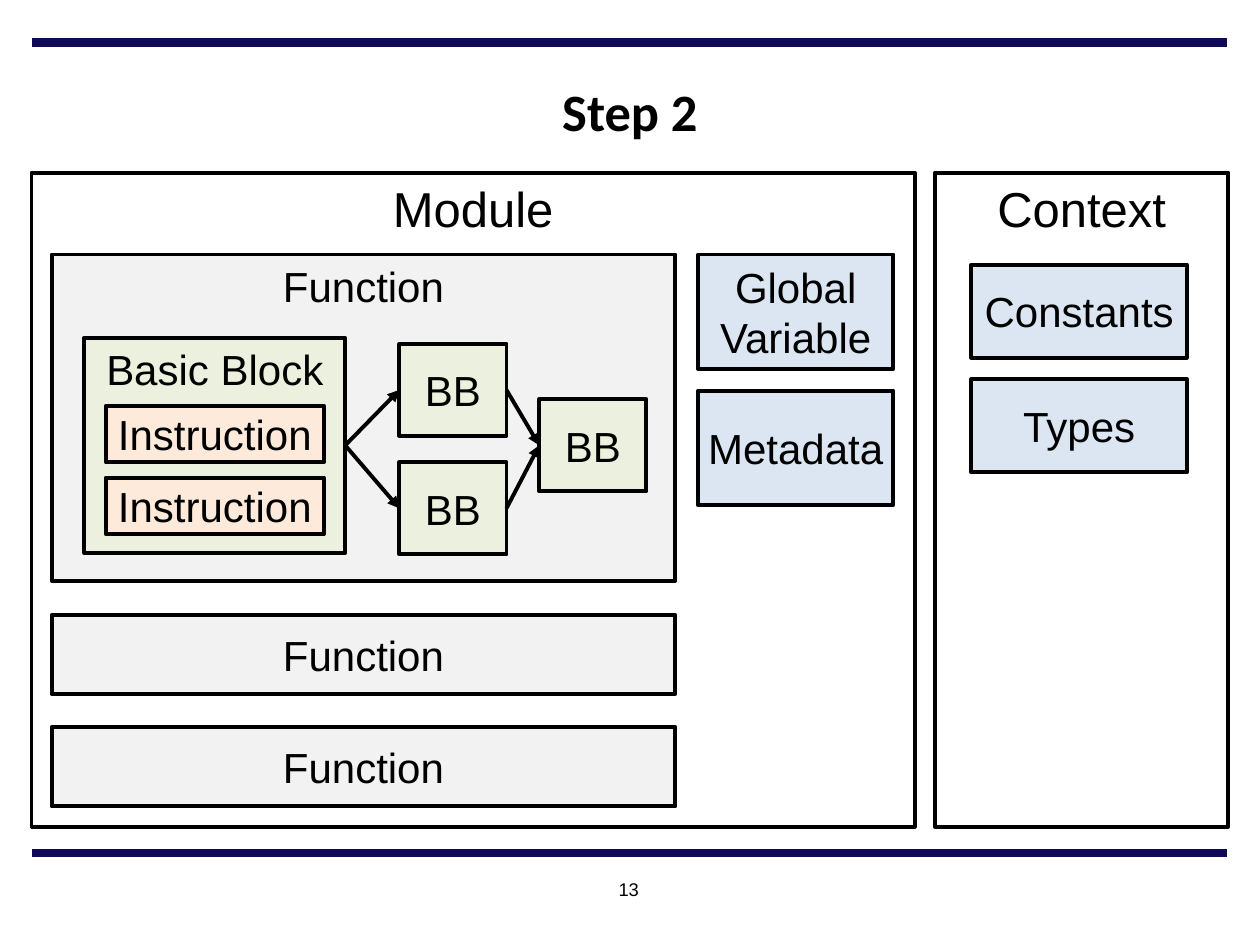
"""Build the slide showing how a module, its functions and a context nest."""
from dataclasses import dataclass

from lxml import etree
from pptx import Presentation
from pptx import util as u
from pptx.dml.color import RGBColor
from pptx.enum import shapes, text
from pptx.oxml.ns import qn
from pptx.shapes.autoshape import Shape
from pptx.shapes.connector import Connector
from pptx.slide import Slide
from pptx.text.text import TextFrame

EMU_PER_PX = 9144

BLACK = RGBColor(0x00, 0x00, 0x00)
WHITE = RGBColor(0xFF, 0xFF, 0xFF)
NAVY = RGBColor(0x0F, 0x09, 0x58)
GRAY = RGBColor(0xF2, 0xF2, 0xF2)
GREEN = RGBColor(0xEB, 0xF1, 0xDE)
ORANGE = RGBColor(0xFD, 0xEA, 0xDA)
BLUE = RGBColor(0xDC, 0xE6, 0xF2)

TOP = text.MSO_ANCHOR.TOP
MIDDLE = text.MSO_ANCHOR.MIDDLE
LEFT_SITE, RIGHT_SITE = 1, 3


@dataclass(frozen=True)
class Box:
    label: str
    left: int
    top: int
    width: int
    height: int
    fill: RGBColor
    anchor: text.MSO_ANCHOR = MIDDLE
    size: float = 24


@dataclass(frozen=True)
class Label:
    content: str
    left: int
    top: int
    width: int
    height: int
    size: float
    font: str
    bold: bool = False
    anchor: text.MSO_ANCHOR = TOP


FIRST_BLOCK = Box("Basic Block", 67, 268, 207, 171, GREEN, TOP)
LOWER_BLOCK = Box("BB", 317, 367, 85, 73, GREEN)
UPPER_BLOCK = Box("BB", 317, 273, 85, 73, GREEN)
LAST_BLOCK = Box("BB", 428, 317, 85, 73, GREEN)

BOXES = [
    Box("Context", 742, 137, 233, 519, WHITE, TOP, 28),
    Box("Module", 25, 137, 701, 519, WHITE, TOP, 28),
    Box("Function", 41, 202, 495, 259, GRAY, TOP),
    *(Box("Function", 41, top, 495, 63, GRAY) for top in (488, 577)),
    FIRST_BLOCK,
    LOWER_BLOCK,
    UPPER_BLOCK,
    LAST_BLOCK,
    *(Box("Instruction", 84, top, 173, 45, ORANGE) for top in (322, 379)),
    Box("Global\nVariable", 554, 202, 155, 91, BLUE),
    Box("Metadata", 554, 310, 155, 91, BLUE),
    Box("Constants", 771, 210, 171, 74, BLUE),
    Box("Types", 771, 301, 171, 74, BLUE),
]

FLOW = [
    (FIRST_BLOCK, UPPER_BLOCK),
    (FIRST_BLOCK, LOWER_BLOCK),
    (LOWER_BLOCK, LAST_BLOCK),
    (UPPER_BLOCK, LAST_BLOCK),
]

LABELS = [
    Label("Step 2", 75, 42, 850, 91, 30, "Calibri", True, MIDDLE),
    Label("13", 395, 692, 208, 50, 10.5, "Arial"),
]


def px(length: int) -> u.Emu:
    """Turn pixels into EMU."""
    return u.Emu(length * EMU_PER_PX)


def write(frame: TextFrame, content: str, size: float, font: str, bold: bool = False) -> None:
    """Fill a text frame with centred black text."""
    frame.text = content
    for paragraph in frame.paragraphs:
        paragraph.alignment = text.PP_ALIGN.CENTER
        for run in paragraph.runs:
            run.font.name = font
            run.font.size = u.Pt(size)
            run.font.bold = bold
            run.font.color.rgb = BLACK


def draw_box(slide: Slide, box: Box) -> Shape:
    """Draw an outlined rectangle with its label."""
    shape = slide.shapes.add_shape(
        shapes.MSO_SHAPE.RECTANGLE,
        px(box.left), px(box.top), px(box.width), px(box.height),
    )
    shape.shadow.inherit = False
    shape.fill.solid()
    shape.fill.fore_color.rgb = box.fill
    shape.line.color.rgb = BLACK
    shape.line.width = u.Pt(2.25)
    shape.text_frame.word_wrap = False
    shape.text_frame.vertical_anchor = box.anchor
    write(shape.text_frame, box.label, box.size, "Arial")
    return shape


def draw_label(slide: Slide, label: Label) -> None:
    """Draw text without an outline."""
    shape = slide.shapes.add_textbox(
        px(label.left), px(label.top), px(label.width), px(label.height)
    )
    shape.text_frame.word_wrap = True
    shape.text_frame.vertical_anchor = label.anchor
    write(shape.text_frame, label.content, label.size, label.font, label.bold)


def draw_line(
    slide: Slide, left: int, right: int, y: int, color: RGBColor, width: float
) -> Connector:
    """Draw a horizontal line without a shadow."""
    line = slide.shapes.add_connector(
        shapes.MSO_CONNECTOR.STRAIGHT, px(left), px(y), px(right), px(y)
    )
    line.line.color.rgb = color
    line.line.width = u.Pt(width)
    etree.SubElement(line._element.spPr, qn("a:effectLst"))
    return line


def draw_arrow(slide: Slide, source: Shape, target: Shape) -> None:
    """Join the right side of one box to the left side of another."""
    arrow = draw_line(slide, 0, 0, 0, BLACK, 2.25)
    arrow.begin_connect(source, RIGHT_SITE)
    arrow.end_connect(target, LEFT_SITE)
    etree.SubElement(arrow.line._get_or_add_ln(), qn("a:tailEnd"), type="triangle")


def main() -> None:
    """Build and save the presentation."""
    presentation = Presentation()
    presentation.slide_width = px(1000)
    presentation.slide_height = px(750)
    slide = presentation.slides.add_slide(presentation.slide_layouts[6])
    for y in (34, 677):
        draw_line(slide, 25, 974, y, NAVY, 5)
    for label in LABELS:
        draw_label(slide, label)
    drawn = {box: draw_box(slide, box) for box in BOXES}
    for source, target in FLOW:
        draw_arrow(slide, drawn[source], drawn[target])
    presentation.save("out.pptx")


if __name__ == "__main__":
    main()
